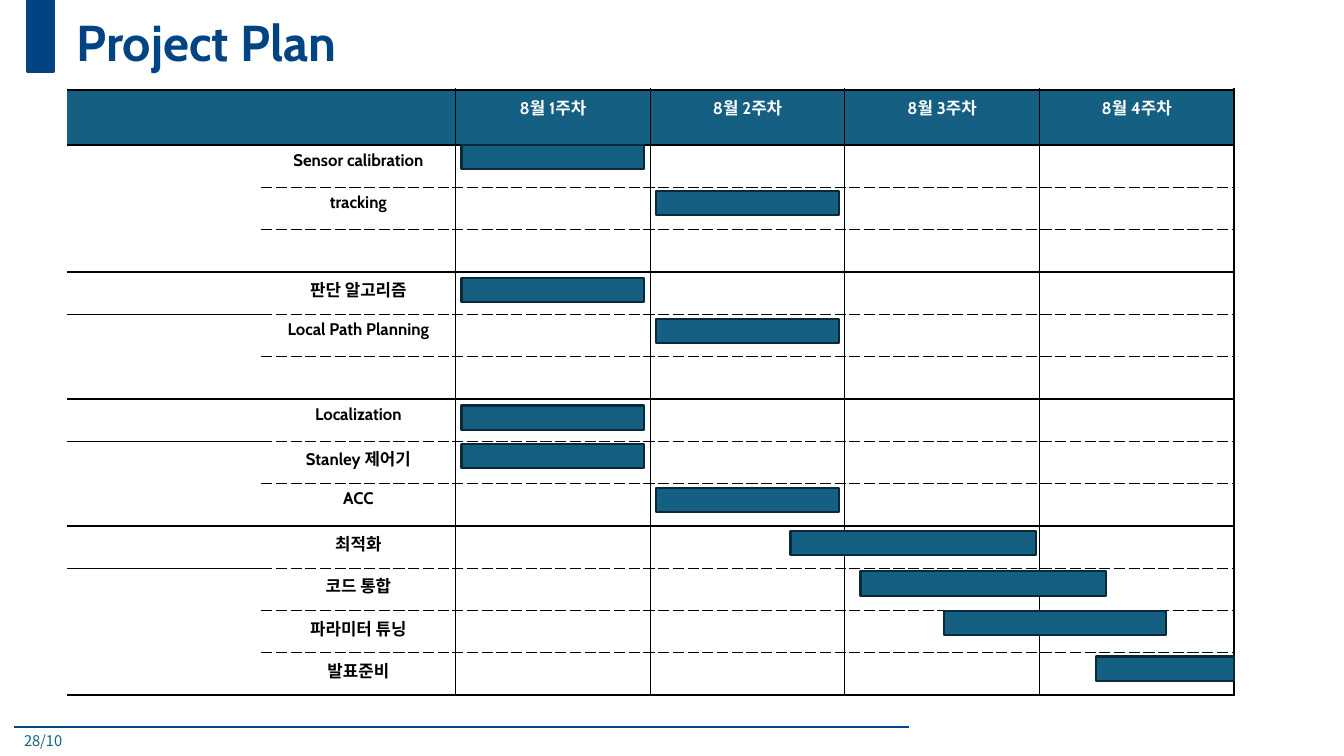
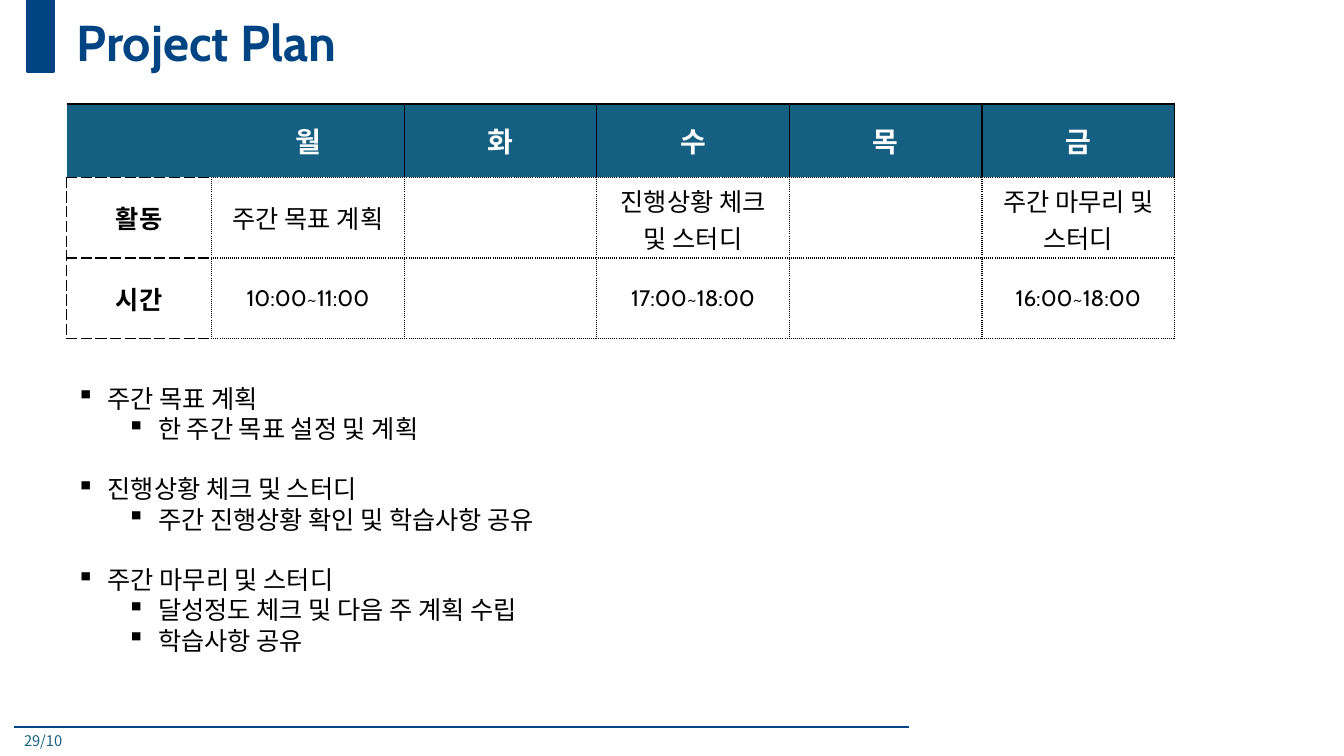
from lxml import etree
from pptx import Presentation
from pptx import util as u
from pptx.dml.color import RGBColor
from pptx.enum import shapes, text
from pptx.oxml.ns import qn

# Shared look
WIDTH, HEIGHT = 13.33, 7.5
LEFT = 0.66
NAVY, RULE, TEAL, TEAL_EDGE = "004483", "004585", "156082", "092A39"
BLACK, WHITE = "000000", "FFFFFF"
LATIN, KOREAN = "Cabin", "Noto Sans CJK KR"
THICK, SOLID = (2, "solid"), (1, "solid")
DASH, DOT = (1, "sysDash"), (1, "sysDot")

# Monthly schedule: label, bar start row, bar start week, bar length in weeks
GROUPS = [
    [("Sensor calibration", 0, 0.03, 0.94), ("tracking", 1.09, 1.03, 0.94), None],
    [("판단 알고리즘", 3.14, 0.03, 0.94), ("Local Path Planning", 4.1, 1.03, 0.94), None],
    [("Localization", 6.15, 0.03, 0.94), ("Stanley 제어기", 7.06, 0.03, 0.94),
     ("ACC", 8.09, 1.03, 0.94)],
    [("최적화", 9.12, 1.72, 1.26), ("코드 통합", 10.07, 2.08, 1.26),
     ("파라미터 튜닝", 11, 2.51, 1.14), ("발표준비", 12.08, 3.29, 0.71)],
]
WEEKS = 4

# Weekly schedule
WEEKLY = [
    ["", "월", "화", "수", "목", "금"],
    ["활동", "주간 목표 계획", "", "진행상황 체크\n및 스터디", "", "주간 마무리 및 스터디"],
    ["시간", "10:00~11:00", "", "17:00~18:00", "", "16:00~18:00"],
]
ACTIVITIES = [
    ("주간 목표 계획", ["한 주간 목표 설정 및 계획"]),
    ("진행상황 체크 및 스터디", ["주간 진행상황 확인 및 학습사항 공유"]),
    ("주간 마무리 및 스터디", ["달성정도 체크 및 다음 주 계획 수립", "학습사항 공유"]),
]


def color(value):
    return RGBColor.from_string(value)


def box(x, y, w, h):
    return [u.Inches(n) for n in (x, y, w, h)]


def write(paragraph, words, size=18, font=LATIN, ink=BLACK, bold=False, align=None):
    """Put formatted words in a paragraph; an empty one only keeps its size."""
    paragraph.alignment = align
    if not words:
        etree.SubElement(paragraph._p, qn("a:endParaRPr"), sz=str(size * 100))
        return
    run = paragraph.add_run()
    run.text = words
    run.font.size, run.font.name, run.font.bold = u.Pt(size), font, bold
    run.font.color.rgb = color(ink)
    etree.SubElement(run._r.get_or_add_rPr(), qn("a:ea"), typeface=KOREAN)


def text_frame(slide, *place):
    frame = slide.shapes.add_textbox(*box(*place)).text_frame
    frame.word_wrap = True
    return frame


def bar(slide, *place, fill=TEAL, edge=TEAL_EDGE):
    block = slide.shapes.add_shape(shapes.MSO_SHAPE.RECTANGLE, *box(*place))
    block.shadow.inherit = False
    block.fill.solid()
    block.fill.fore_color.rgb = color(fill)
    block.line.color.rgb = color(edge)
    block.line.width = u.Pt(1.5)


# Tables
def border(cell, **sides):
    """Sides L, R, T, B each take (points, dash); the others are cleared."""
    props = cell._tc.get_or_add_tcPr()
    for side in "LRTB":
        points, dash = sides.get(side) or (0, None)
        line = etree.SubElement(props, qn(f"a:ln{side}"), w=str(u.Pt(points)))
        if not dash:
            etree.SubElement(line, qn("a:noFill"))
            continue
        fill = etree.SubElement(line, qn("a:solidFill"))
        etree.SubElement(fill, qn("a:srgbClr"), val=BLACK)
        etree.SubElement(line, qn("a:prstDash"), val=dash)


def fill_cell(cell, words, sides, fill=WHITE, middle=False, **style):
    border(cell, **sides)
    cell.fill.solid()
    cell.fill.fore_color.rgb = color(fill)
    if middle:
        cell.vertical_anchor = text.MSO_ANCHOR.MIDDLE
    for i, line in enumerate(words.split("\n")):
        frame = cell.text_frame
        paragraph = frame.add_paragraph() if i else frame.paragraphs[0]
        write(paragraph, line, align=text.PP_ALIGN.CENTER, **style)


def grid(slide, x, y, columns, rows):
    table = slide.shapes.add_table(
        len(rows), len(columns), *box(x, y, sum(columns), sum(rows))).table
    table.first_row = table.horz_banding = False
    for column, width in zip(table.columns, columns):
        column.width = u.Inches(width)
    for row, height in zip(table.rows, rows):
        row.height = u.Inches(height)
    return table


# Parts on every slide
def new_slide(deck, title, page):
    slide = deck.slides.add_slide(deck.slide_layouts[6])
    rule = slide.shapes.add_connector(
        shapes.MSO_CONNECTOR.STRAIGHT, *box(0.14, 7.21, 9.02, 7.21))
    rule.line.color.rgb = color(RULE)
    rule.line.width = u.Pt(1.5)
    etree.SubElement(rule._element.spPr, qn("a:effectLst"))
    write(text_frame(slide, 0.14, 7.21, 5.71, 0.29).paragraphs[0], page,
          size=10.5, font=KOREAN, ink=TEAL)
    bar(slide, 0.27, 0, 0.27, 0.71, fill=NAVY, edge=NAVY)
    heading = text_frame(slide, LEFT, 0, 11.96, 0.89)
    heading.vertical_anchor = text.MSO_ANCHOR.MIDDLE
    heading.paragraphs[0].line_spacing = 0.9
    write(heading.paragraphs[0], title, size=36, ink=NAVY, bold=True)
    return slide


# Slide content
def monthly_plan(slide):
    top, head, row_height, col_width = 0.89, 0.55, 0.42, 1.93
    count = sum(len(group) for group in GROUPS)
    table = grid(slide, LEFT, top, [col_width] * (WEEKS + 2),
                 [head] + [row_height] * count)

    for col in range(WEEKS + 2):
        sides = {"T": THICK, "B": THICK, "L": SOLID if col > 1 else None,
                 "R": SOLID if col else None}
        words = f"8월 {col - 1}주차" if col > 1 else ""
        fill_cell(table.cell(0, col), words, sides, fill=TEAL,
                  size=12, ink=WHITE, bold=True)

    row, above = 1, THICK
    for group in GROUPS:
        for i, task in enumerate(group):
            below = DASH if i < len(group) - 1 else THICK if row == count else SOLID
            # The area column has a rule under each group and under later first rows
            area_above = above if above != DASH else SOLID if i == 1 and row > 2 else None
            area_below = below if below != DASH else SOLID if i == 0 and row > 1 else None
            fill_cell(table.cell(row, 0), "", {"T": area_above, "B": area_below}, size=12)
            for col in range(1, WEEKS + 2):
                sides = {"T": above, "B": below, "R": SOLID,
                         "L": SOLID if col > 1 else None}
                words = task[0] if task and col == 1 else ""
                fill_cell(table.cell(row, col), words, sides, size=12, bold=True)
            row, above = row + 1, below

    for task in filter(None, sum(GROUPS, [])):
        _, start_row, start_week, weeks = task
        bar(slide, LEFT + (2 + start_week) * col_width,
            top + head + start_row * row_height, weeks * col_width, 0.24)


def weekly_plan(slide):
    table = grid(slide, LEFT, 1.03, [1.44] + [1.91] * 5, [0.73, 0.8, 0.8])
    for r, line in enumerate(WEEKLY):
        for c, words in enumerate(line):
            if r == 0:
                sides = {"T": THICK, "B": DOT if c else DASH,
                         "L": SOLID if c > 1 else None, "R": SOLID if c else None}
                style = dict(fill=TEAL, size=20, ink=WHITE, bold=True)
            elif c == 0:
                sides = {"L": DASH, "T": DASH, "R": DOT, "B": DASH}
                style = dict(bold=True)
            else:
                sides = dict.fromkeys("LRTB", DOT)
                style = dict(size=18 if r == 1 else 16)
            fill_cell(table.cell(r, c), words, sides, middle=True, **style)


def bullet(paragraph, words, level, gap):
    props = paragraph._p.get_or_add_pPr()
    props.set("marL", str(u.Inches(0.31 + 0.5 * level)))
    props.set("indent", str(u.Inches(-0.31)))
    paragraph.level = level
    paragraph.line_spacing = u.Pt(21.6)
    paragraph.space_before = u.Pt(gap)
    etree.SubElement(props, qn("a:buChar"), char="▪")
    write(paragraph, words)


def activity_list(slide):
    frame = text_frame(slide, LEFT, 3.75, 11, 2.83)
    for i, (activity, details) in enumerate(ACTIVITIES):
        first = frame.add_paragraph() if i else frame.paragraphs[0]
        bullet(first, activity, 0, 21.6 if i else 0)
        for detail in details:
            bullet(frame.add_paragraph(), detail, 1, 0)


def main():
    deck = Presentation()
    deck.slide_width, deck.slide_height = u.Inches(WIDTH), u.Inches(HEIGHT)
    monthly_plan(new_slide(deck, "Project Plan", "28/10"))
    weekly = new_slide(deck, "Project Plan", "29/10")
    weekly_plan(weekly)
    activity_list(weekly)
    deck.save("out.pptx")


if __name__ == "__main__":
    main()
